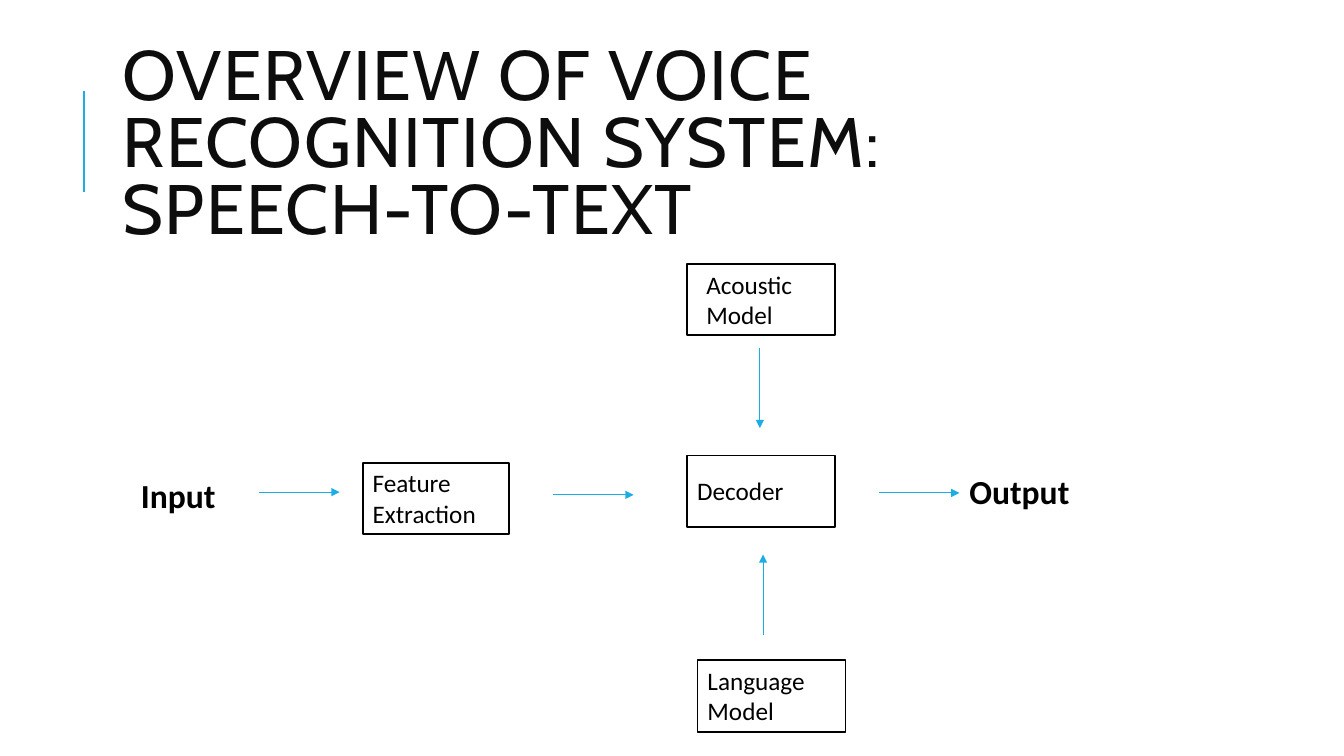
from lxml import etree
from pptx import Presentation
from pptx.dml.color import RGBColor
from pptx.enum.shapes import MSO_CONNECTOR, MSO_SHAPE
from pptx.enum.text import MSO_ANCHOR, PP_ALIGN
from pptx.oxml.ns import qn
from pptx.util import Cm, Pt

BLACK = RGBColor(0, 0, 0)
WHITE = RGBColor(0xFF, 0xFF, 0xFF)
INK = RGBColor(0x0D, 0x0D, 0x0D)
BLUE = RGBColor(0x1C, 0xAD, 0xE4)
RECT = MSO_SHAPE.RECTANGLE
STRAIGHT = MSO_CONNECTOR.STRAIGHT
TOP = MSO_ANCHOR.TOP
MIDDLE = MSO_ANCHOR.MIDDLE
LEFT = PP_ALIGN.LEFT
BOX_HIGH = 1.8
REACH = 2.03


def set_text(shape, text, size=18, bold=False, font="Calibri", color=BLACK):
    frame = shape.text_frame
    frame.text = text
    frame.word_wrap = True
    frame.vertical_anchor = TOP
    for para in frame.paragraphs:
        para.alignment = LEFT
        for run in para.runs:
            run.font.size = Pt(size)
            run.font.bold = bold
            run.font.name = font
            run.font.color.rgb = color
    return frame


def add_label(slide, text, left, top, width, height, **style):
    label = slide.shapes.add_textbox(Cm(left), Cm(top), Cm(width), Cm(height))
    return set_text(label, text, **style)


def add_title(slide, text):
    frame = add_label(slide, text, 2.84, 1.63, 27, 4.17,
                      size=50, font="Cabin", color=INK)
    frame.vertical_anchor = MIDDLE
    para = frame.paragraphs[0]
    para.line_spacing = 0.8
    para.runs[0].font._element.set("spc", "100")


def add_box(slide, left, top, width=3.73, text=""):
    box = slide.shapes.add_shape(RECT, Cm(left), Cm(top), Cm(width), Cm(BOX_HIGH))
    box.shadow.inherit = False
    box.fill.solid()
    box.fill.fore_color.rgb = WHITE
    box.line.color.rgb = BLACK
    box.line.width = Pt(1.25)
    if text:
        set_text(box, text)


def add_line(slide, left, top, right, bottom, width):
    line = slide.shapes.add_connector(
        STRAIGHT, Cm(left), Cm(top), Cm(right), Cm(bottom))
    line.line.color.rgb = BLUE
    line.line.width = Pt(width)
    etree.SubElement(line._element.spPr, qn("a:effectLst"))
    return line


def add_arrow(slide, left, top, across=0, down=0):
    arrow = add_line(slide, left, top, left + across, top + down, 0.75)
    tail = etree.SubElement(arrow.line._get_or_add_ln(), qn("a:tailEnd"))
    tail.set("type", "triangle")


def main():
    deck = Presentation()
    deck.slide_width = Cm(33.87)
    deck.slide_height = Cm(19.05)
    slide = deck.slides.add_slide(deck.slide_layouts[6])

    add_line(slide, 2.11, 4.83, 2.11, 2.29, 1.5)
    add_title(slide, "OVERVIEW OF VOICE RECOGNITION SYSTEM: SPEECH-TO-TEXT")

    add_box(slide, 17.32, 11.48)
    add_box(slide, 17.32, 6.65)
    add_box(slide, 9.14, 11.66, 3.68, "Feature\nExtraction")
    add_box(slide, 17.58, 16.64, text="Language\nModel")

    for left, top in ((6.53, 12.4), (13.94, 12.47), (22.15, 12.42)):
        add_arrow(slide, left, top, across=REACH)
    add_arrow(slide, 19.15, 8.76, down=REACH)
    add_arrow(slide, 19.23, 16, down=-REACH)

    add_label(slide, "Acoustic\nModel", 17.55, 6.65, 3.25, BOX_HIGH)
    add_label(slide, "Decoder", 17.32, 11.86, 3.48, 1.02)
    add_label(slide, "Input", 3.3, 11.84, 2.46, 1.27, size=24, bold=True)
    add_label(slide, "Output", 24.18, 11.73, 3.73, 1.27, size=24, bold=True)

    deck.save("out.pptx")


if __name__ == "__main__":
    main()
